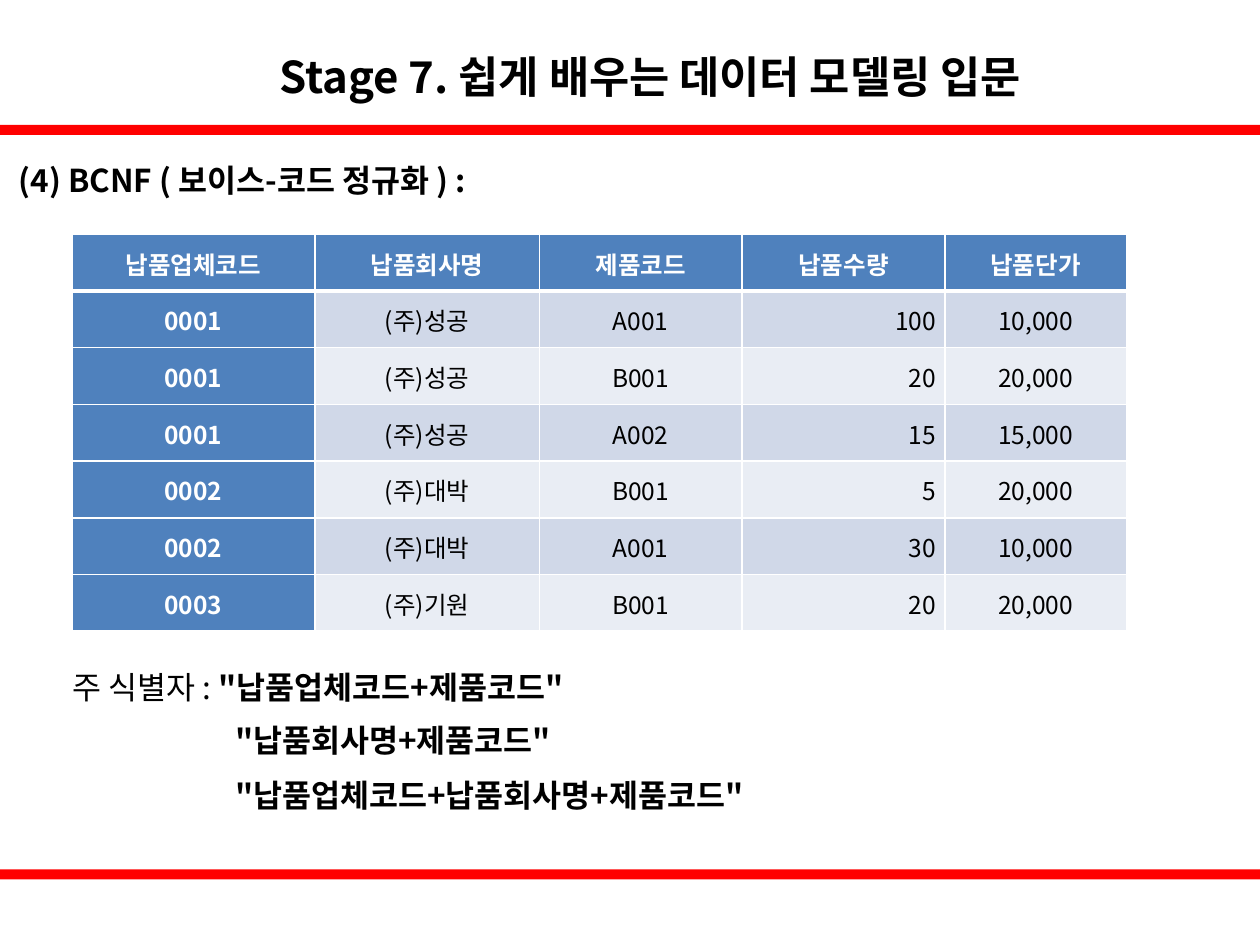
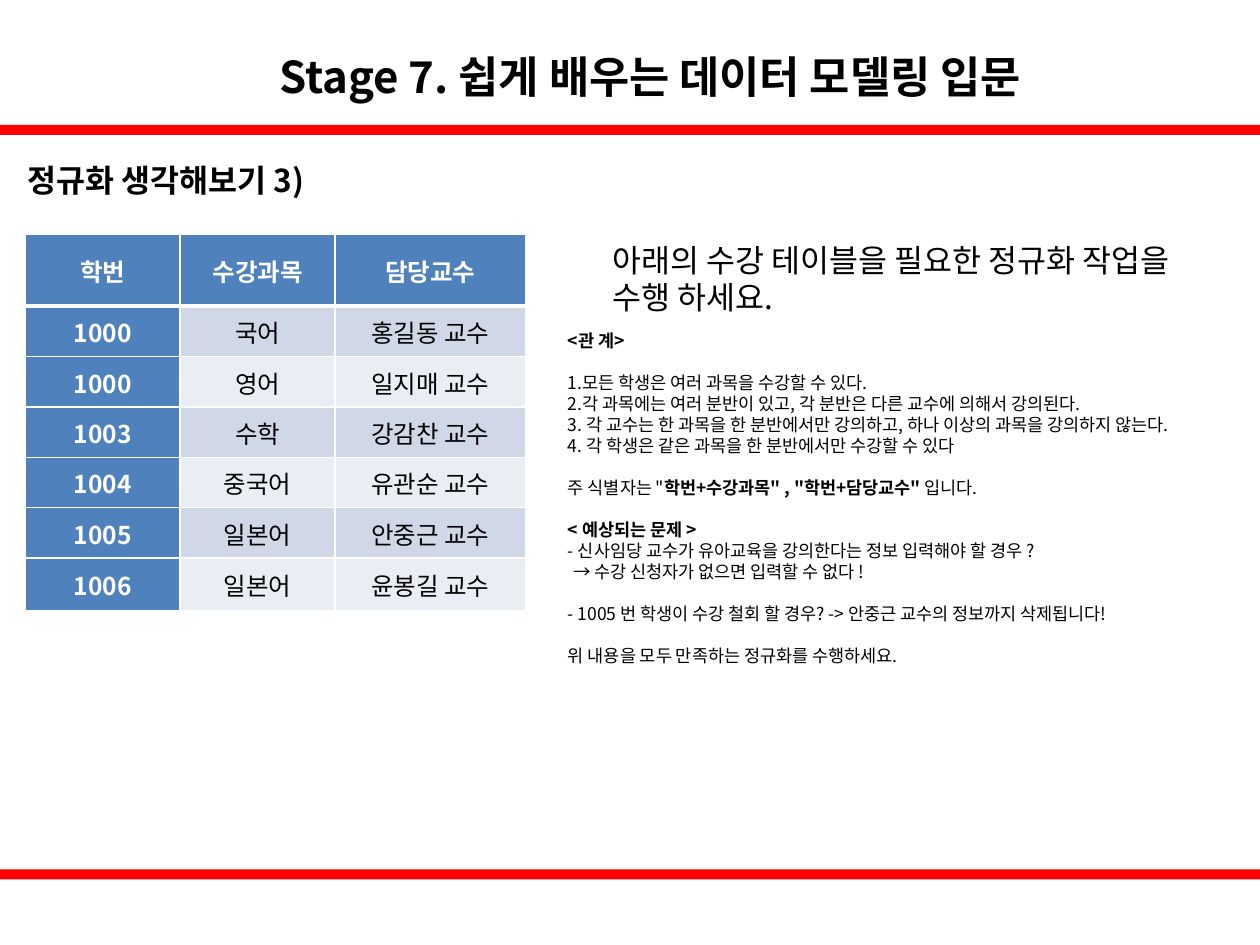
from lxml.etree import SubElement
from pptx import Presentation
from pptx.dml.color import RGBColor
from pptx.enum.shapes import MSO_SHAPE
from pptx.enum.text import MSO_ANCHOR, MSO_AUTO_SIZE, PP_ALIGN
from pptx.oxml.ns import qn
from pptx.util import Inches, Pt

BLACK = RGBColor(0x00, 0x00, 0x00)
WHITE = RGBColor(0xFF, 0xFF, 0xFF)
RED = RGBColor(0xFF, 0x00, 0x00)
BLUE = RGBColor(0x4F, 0x81, 0xBD)
ROW_FILLS = (RGBColor(0xD0, 0xD8, 0xE8), RGBColor(0xE9, 0xED, 0xF4))
FONT = "Noto Sans CJK KR"
COURSE = "Stage 7. 쉽게 배우는 데이터 모델링 입문"
LINE_FACTOR = 1.2


def set_format(target, values):
    for name, value in values.items():
        setattr(target, name, value)


class Lesson:
    """Holds the shared style and the slide being built."""

    def __init__(self):
        self.deck = Presentation()
        self.deck.slide_width = Inches(10)
        self.deck.slide_height = Inches(7.5)
        self.page = None

    def add_page(self, heading, left, width):
        self.page = self.deck.slides.add_slide(self.deck.slide_layouts[6])
        for top in (0.99, 6.9):
            self.band(top)
        title = self.text(1.38, 0, 7.56, 0.99, [COURSE], 25, bold=True, grow=False)
        title.vertical_anchor = MSO_ANCHOR.MIDDLE
        set_format(title.paragraphs[0], {"alignment": PP_ALIGN.CENTER, "line_spacing": 1.5})
        self.text(left, 1.23, width, 0.4, [heading], bold=True, wrap=False)

    def band(self, top):
        band = self.page.shapes.add_shape(
            MSO_SHAPE.RECTANGLE, 0, Inches(top), Inches(10), Inches(0.08))
        band.shadow.inherit = False
        band.fill.solid()
        band.fill.fore_color.rgb = RED
        band.line.fill.background()

    def span(self, para, words, size, bold=False, color=BLACK):
        span = para.add_run()
        span.text = words
        set_format(span.font, {"name": FONT, "size": Pt(size), "bold": bold})
        span.font.color.rgb = color
        SubElement(span.font._element, qn("a:ea"), typeface=FONT)

    def text(self, left, top, width, height, lines, size=18, bold=False,
             wrap=True, grow=True):
        """Each line is a string or a list of (words, bold) pairs."""
        box = self.page.shapes.add_textbox(
            Inches(left), Inches(top), Inches(width), Inches(height))
        frame = box.text_frame
        fit = MSO_AUTO_SIZE.SHAPE_TO_FIT_TEXT if grow else MSO_AUTO_SIZE.NONE
        set_format(frame, {"word_wrap": wrap, "auto_size": fit})
        for index, line in enumerate(lines):
            para = frame.add_paragraph() if index else frame.paragraphs[0]
            para.line_spacing = Pt(size * LINE_FACTOR)
            pairs = [(line, bold)] if isinstance(line, str) else line
            for words, is_bold in pairs:
                self.span(para, words, size, is_bold)
        return frame

    def borders(self, cell, top, bottom):
        properties = cell._tc.get_or_add_tcPr()
        widths = {"a:lnL": 1, "a:lnR": 1, "a:lnT": top, "a:lnB": bottom}
        for tag, width in widths.items():
            line = SubElement(properties, qn(tag), w=str(Pt(width)))
            fill = SubElement(line, qn("a:solidFill"))
            SubElement(fill, qn("a:srgbClr"), val=str(WHITE))

    def table(self, left, widths, heights, rows, side_inset, right_column=None):
        table = self.page.shapes.add_table(
            len(rows), len(widths), Inches(left), Inches(1.86),
            Inches(sum(widths)), Inches(sum(heights))).table
        for column, width in zip(table.columns, widths):
            column.width = Inches(width)
        for r, values in enumerate(rows):
            table.rows[r].height = Inches(heights[r])
            for c, value in enumerate(values):
                cell = table.cell(r, c)
                is_head = r == 0 or c == 0
                set_format(cell, {
                    "vertical_anchor": MSO_ANCHOR.MIDDLE,
                    "margin_left": Inches(side_inset),
                    "margin_right": Inches(side_inset),
                    "margin_top": Inches(0.01),
                    "margin_bottom": 0,
                })
                self.borders(cell, 3 if r == 1 else 1, 3 if r == 0 else 1)
                cell.fill.solid()
                cell.fill.fore_color.rgb = BLUE if is_head else ROW_FILLS[(r - 1) % 2]
                para = cell.text_frame.paragraphs[0]
                is_right = r > 0 and c == right_column
                para.alignment = PP_ALIGN.RIGHT if is_right else PP_ALIGN.CENTER
                self.span(para, value, 14, is_head, WHITE if is_head else BLACK)


def build_bcnf(lesson):
    lesson.add_page("(4) BCNF ( 보이스-코드 정규화 ) :", 0.05, 4.1)
    # Supply table
    deliveries = [
        ("납품업체코드", "납품회사명", "제품코드", "납품수량", "납품단가"),
        ("0001", "(주)성공", "A001", "100", "10,000"),
        ("0001", "(주)성공", "B001", "20", "20,000"),
        ("0001", "(주)성공", "A002", "15", "15,000"),
        ("0002", "(주)대박", "B001", "5", "20,000"),
        ("0002", "(주)대박", "A001", "30", "10,000"),
        ("0003", "(주)기원", "B001", "20", "20,000"),
    ]
    lesson.table(0.57, (1.93, 1.78, 1.61, 1.61, 1.44), [0.45] * 7,
                 deliveries, 0.07, right_column=3)
    # Candidate keys
    keys = [
        (0.48, 5.25, 4.57, [("주 식별자 : ", False), ('"납품업체코드+제품코드"', True)]),
        (1.77, 5.67, 2.99, '"납품회사명+제품코드"'),
        (1.77, 6.11, 4.68, '"납품업체코드+납품회사명+제품코드"'),
    ]
    for left, top, width, key in keys:
        lesson.text(left, top, width, 0.4, [key], bold=True, wrap=False)


def build_exercise(lesson):
    lesson.add_page("정규화 생각해보기 3)", 0.12, 2.64)
    # Enrolment table
    courses = [
        ("학번", "수강과목", "담당교수"),
        ("1000", "국어", "홍길동 교수"),
        ("1000", "영어", "일지매 교수"),
        ("1003", "수학", "강감찬 교수"),
        ("1004", "중국어", "유관순 교수"),
        ("1005", "일본어", "안중근 교수"),
        ("1006", "일본어", "윤봉길 교수"),
    ]
    lesson.table(0.2, (1.23, 1.23, 1.51), [0.57] + [0.4] * 5 + [0.42], courses, 0.01)
    # Task and its rules
    lesson.text(4.76, 1.86, 5, 0.71,
                ["아래의 수강 테이블을 필요한 정규화 작업을 수행 하세요."])
    groups = [
        [[("<관 계>", True)]],
        ["1.모든 학생은 여러 과목을 수강할 수 있다.",
         "2.각 과목에는 여러 분반이 있고, 각 분반은 다른 교수에 의해서 강의된다.",
         "3. 각 교수는 한 과목을 한 분반에서만 강의하고, 하나 이상의 과목을 강의하지 않는다.",
         "4. 각 학생은 같은 과목을 한 분반에서만 수강할 수 있다"],
        [[('주 식별자는 "', False),
          ('학번+수강과목" , "학번+담당교수" ', True),
          ("입니다.", False)]],
        [[("< 예상되는 문제 >", True)],
         "- 신사임당 교수가 유아교육을 강의한다는 정보 입력해야 할 경우 ?",
         "→ 수강 신청자가 없으면 입력할 수 없다 !"],
        ["- 1005 번 학생이 수강 철회 할 경우? -> 안중근 교수의 정보까지 삭제됩니다!"],
        ["위 내용을 모두 만족하는 정규화를 수행하세요."],
    ]
    lines = [line for group in groups for line in group]
    frame = lesson.text(4.41, 2.57, 5.57, 2.79, lines, 10)
    # One line of space between groups, a small indent for the arrow line
    start = 0
    for group in groups[:-1]:
        start += len(group)
        frame.paragraphs[start].space_before = Pt(10 * LINE_FACTOR)
    for para in frame.paragraphs:
        if para.text.startswith("→"):
            para._p.get_or_add_pPr().set("marL", str(Inches(0.04)))


def main():
    lesson = Lesson()
    build_bcnf(lesson)
    build_exercise(lesson)
    lesson.deck.save("out.pptx")


if __name__ == "__main__":
    main()
